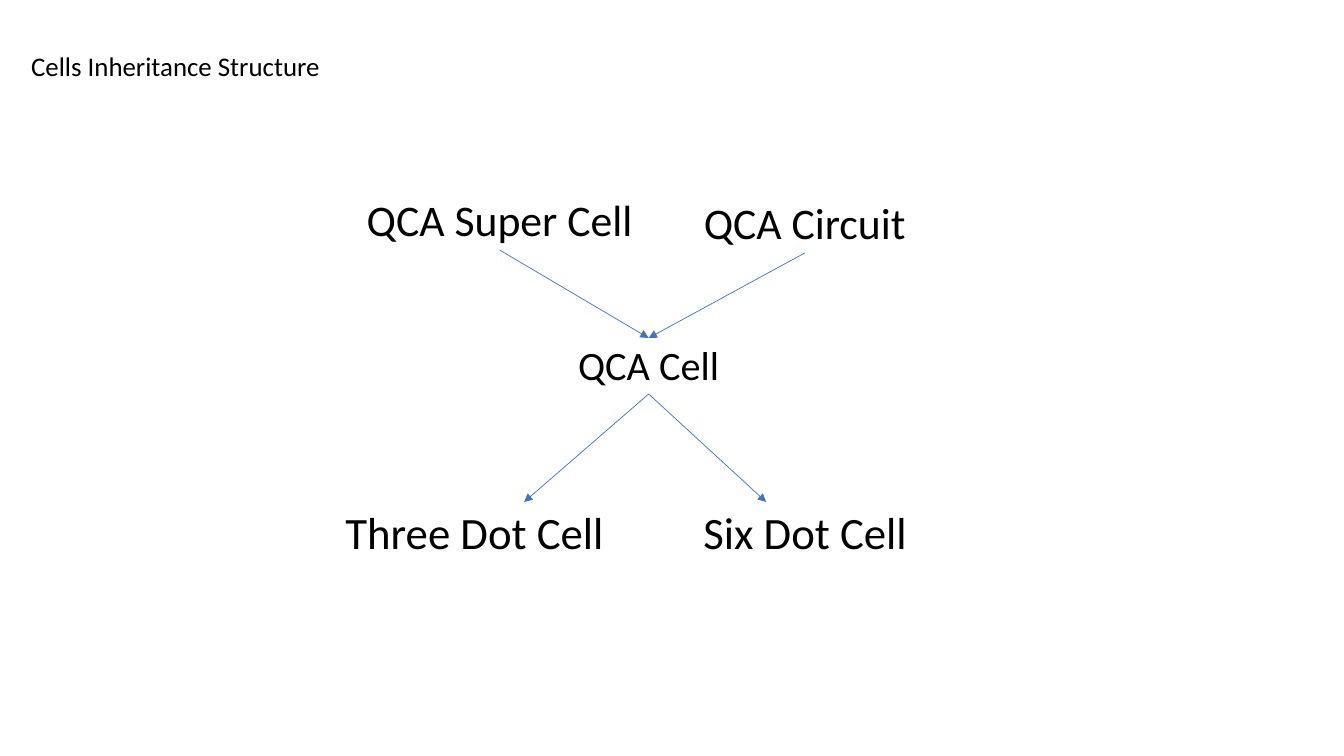
from lxml.etree import SubElement
from pptx import Presentation
from pptx.dml.color import RGBColor
from pptx.enum.shapes import MSO_CONNECTOR
from pptx.enum.text import MSO_ANCHOR, MSO_AUTO_SIZE, PP_ALIGN
from pptx.oxml.ns import qn
from pptx.util import Inches, Pt

BLACK = RGBColor(0x00, 0x00, 0x00)
BLUE = RGBColor(0x44, 0x72, 0xC4)
FONT = "Calibri"
PIXELS_PER_INCH = 100.8

# Content: box is left, top, width, height in pixels
TITLE = dict(text="Cells Inheritance Structure", box=(9, 30, 333, 56), size=19.2, spacing=0.7)
CELLS = {
    "cell": dict(text="QCA Cell", box=(545, 338, 207, 56), size=28.8, spacing=0.9),
    "three": dict(text="Three Dot Cell", box=(331, 488, 287, 76), size=32, spacing=0.9),
    "six": dict(text="Six Dot Cell", box=(656, 502, 298, 62), size=32, spacing=0.9),
    "super": dict(text="QCA Super Cell", box=(293, 194, 413, 56), size=31.2, spacing=0.8),
    "circuit": dict(text="QCA Circuit", box=(676, 197, 257, 56), size=31.2, spacing=0.8),
}


def pixels(value):
    return Inches(value / PIXELS_PER_INCH)


def write_text(shape, text, *, box, size, spacing):
    shape.left, shape.top, shape.width, shape.height = map(pixels, box)
    frame = shape.text_frame
    frame.word_wrap = True
    frame.auto_size = MSO_AUTO_SIZE.NONE
    frame.vertical_anchor = MSO_ANCHOR.BOTTOM
    paragraph = frame.paragraphs[0]
    paragraph.alignment = PP_ALIGN.CENTER
    paragraph.line_spacing = spacing
    paragraph.space_before = Pt(0)
    run = paragraph.add_run()
    run.text = text
    run.font.name = FONT
    run.font.size = Pt(size)
    run.font.color.rgb = BLACK


def top_center(name):
    left, top, width, _ = CELLS[name]["box"]
    return left + width / 2, top


def bottom_center(name):
    x, top = top_center(name)
    return x, top + CELLS[name]["box"][3]


def add_arrow(slide, start, end):
    connector = slide.shapes.add_connector(
        MSO_CONNECTOR.STRAIGHT, *map(pixels, start + end))
    connector.line.color.rgb = BLUE
    connector.line.width = Pt(0.5)
    SubElement(connector.line._get_or_add_ln(), qn("a:tailEnd"), type="triangle")
    SubElement(connector._element.spPr, qn("a:effectLst"))


presentation = Presentation()
presentation.slide_width = Inches(13.33)
presentation.slide_height = Inches(7.5)
slide = presentation.slides.add_slide(presentation.slide_layouts[5])

# Title and cell names
write_text(slide.shapes.title, **TITLE)
for cell in CELLS.values():
    write_text(slide.shapes.add_textbox(0, 0, 0, 0), **cell)

# Arrows into and out of the central cell
for parent in ("super", "circuit"):
    add_arrow(slide, bottom_center(parent), top_center("cell"))
for tip in ((524, 502), (766, 502)):
    add_arrow(slide, bottom_center("cell"), tip)

presentation.save("out.pptx")
